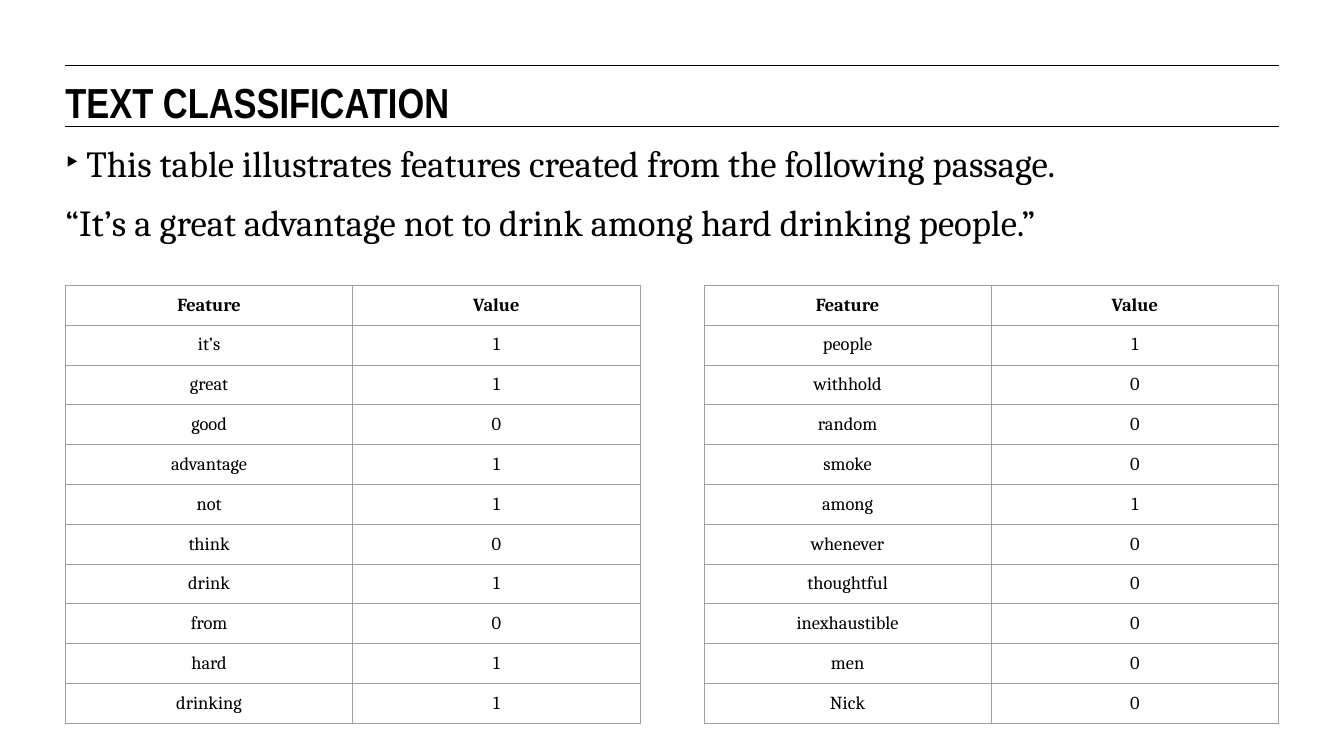
from dataclasses import dataclass

from lxml import etree
from pptx import Presentation
from pptx import util as u
from pptx.dml.color import RGBColor
from pptx.enum import shapes, text
from pptx.oxml.ns import qn


@dataclass(frozen=True)
class Theme:
    ink: str = "000000"
    grid: str = "9E9E9E"
    title_font: str = "Arial Narrow"
    body_font: str = "Cambria"
    title_size: int = 32
    body_size: int = 28
    table_size: int = 14
    line_width: float = 0.75


theme = Theme()
LEFT, WIDTH = 1.76, 32.6
TABLE_TOP, TABLE_WIDTH, ROW_HEIGHT = 7.67, 15.44, 1.07


def write(para, wording, size, line_height, font=theme.body_font, bold=False,
          align=text.PP_ALIGN.LEFT):
    para.alignment = align
    para.line_spacing = u.Pt(line_height)
    para.space_before = u.Pt(0)
    span = para.add_run()
    span.text = wording
    span.font.name = font
    span.font.size = u.Pt(size)
    span.font.bold = bold
    span.font.color.rgb = RGBColor.from_string(theme.ink)


def place(box, top, height):
    box.left, box.top = u.Cm(LEFT), u.Cm(top)
    box.width, box.height = u.Cm(WIDTH), u.Cm(height)
    frame = box.text_frame
    frame.margin_left = frame.margin_right = 0
    frame.margin_top = frame.margin_bottom = 0
    frame.auto_size = text.MSO_AUTO_SIZE.NONE
    frame.vertical_anchor = text.MSO_ANCHOR.TOP
    frame.word_wrap = True
    return frame


deck = Presentation()
deck.slide_width, deck.slide_height = u.Cm(36.12), u.Cm(20.29)
page = deck.slides.add_slide(deck.slide_layouts[1])

for rule_top in (1.76, 3.39):
    rule = page.shapes.add_connector(
        shapes.MSO_CONNECTOR.STRAIGHT,
        u.Cm(LEFT), u.Cm(rule_top), u.Cm(LEFT + WIDTH), u.Cm(rule_top))
    rule.line.color.rgb = RGBColor.from_string(theme.ink)
    rule.line.width = u.Pt(theme.line_width)
    etree.SubElement(rule._element.spPr, qn("a:effectLst"))

title = place(page.shapes.title, 2.28, 1.13)
write(title.paragraphs[0], "TEXT CLASSIFICATION", theme.title_size, 32,
      font=theme.title_font, bold=True)

body = place(page.placeholders[1], 3.84, 3.3)
passage = [
    ("This table illustrates features created from the following passage.", "‣"),
    ("“It’s a great advantage not to drink among hard drinking people.”", None),
]
for index, (wording, bullet) in enumerate(passage):
    para = body.add_paragraph() if index else body.paragraphs[0]
    write(para, wording, theme.body_size, 32)
    para.space_after = u.Pt(13)
    indent = u.Cm(0.56) if bullet else 0
    properties = para._p.get_or_add_pPr()
    properties.set("marL", str(indent))
    properties.set("indent", str(-indent))
    if bullet:
        etree.SubElement(properties, qn("a:buChar"), char=bullet)
    else:
        etree.SubElement(properties, qn("a:buNone"))

feature_tables = [
    [("it’s", 1), ("great", 1), ("good", 0), ("advantage", 1), ("not", 1),
     ("think", 0), ("drink", 1), ("from", 0), ("hard", 1), ("drinking", 1)],
    [("people", 1), ("withhold", 0), ("random", 0), ("smoke", 0), ("among", 1),
     ("whenever", 0), ("thoughtful", 0), ("inexhaustible", 0), ("men", 0),
     ("Nick", 0)],
]
table_lefts = (LEFT, LEFT + WIDTH - TABLE_WIDTH)
for table_left, features in zip(table_lefts, feature_tables):
    rows = [("Feature", "Value")] + features
    table = page.shapes.add_table(
        len(rows), 2, u.Cm(table_left), u.Cm(TABLE_TOP),
        u.Cm(TABLE_WIDTH), u.Cm(ROW_HEIGHT * len(rows))).table
    table.first_row = table.horz_banding = False
    for row_index, values in enumerate(rows):
        table.rows[row_index].height = u.Cm(ROW_HEIGHT)
        for column_index, value in enumerate(values):
            cell = table.cell(row_index, column_index)
            cell.margin_left = cell.margin_right = u.Cm(0.25)
            cell.margin_top = cell.margin_bottom = u.Cm(0.25)
            write(cell.text_frame.paragraphs[0], str(value), theme.table_size, 16,
                  bold=row_index == 0, align=text.PP_ALIGN.CENTER)
            cell_properties = cell._tc.get_or_add_tcPr()
            for side in ("a:lnL", "a:lnR", "a:lnT", "a:lnB"):
                border = etree.SubElement(cell_properties, qn(side),
                                          w=str(u.Pt(theme.line_width)))
                paint = etree.SubElement(border, qn("a:solidFill"))
                etree.SubElement(paint, qn("a:srgbClr"), val=theme.grid)
            cell.fill.background()

deck.save("out.pptx")
